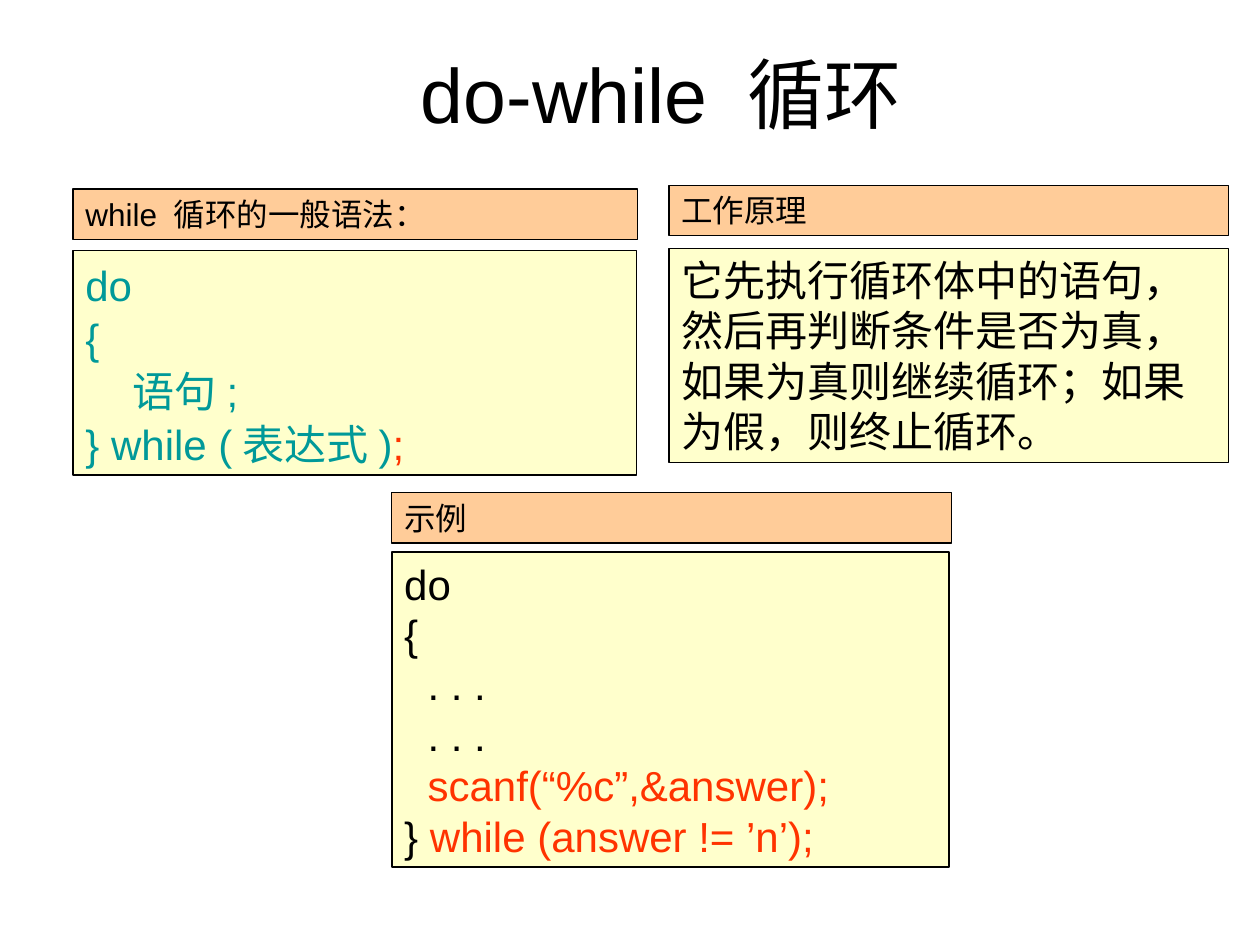
import pptx
import pptx.dml.color
import pptx.enum.shapes
import pptx.enum.text
import pptx.util
from pptx.util import Inches

BLACK = pptx.dml.color.RGBColor(0x00, 0x00, 0x00)
TEAL = pptx.dml.color.RGBColor(0x00, 0x99, 0x99)
RED = pptx.dml.color.RGBColor(0xFF, 0x33, 0x00)
ORANGE = pptx.dml.color.RGBColor(0xFF, 0xCC, 0x99)
YELLOW = pptx.dml.color.RGBColor(0xFF, 0xFF, 0xCC)

FRAME_FORMAT = {
    "word_wrap": True,
    "margin_left": Inches(0.1),
    "margin_right": Inches(0.1),
    "margin_top": Inches(0.05),
    "margin_bottom": Inches(0.05),
}

# Each line of text is a list of (text, colour) runs.
SYNTAX = [
    [("do", TEAL)],
    [("{", TEAL)],
    [("     语句;", TEAL)],
    [("} while (表达式)", TEAL), (";", RED)],
]
PRINCIPLE = [[(
    "它先执行循环体中的语句，然后再判断条件是否为真，"
    "如果为真则继续循环；如果为假，则终止循环。", BLACK)]]
EXAMPLE = [
    [("do", BLACK)],
    [("{", BLACK)],
    [("  . . .", BLACK)],
    [("  . . .", BLACK)],
    [("  ", BLACK), ("scanf(“%c”,&answer);", RED)],
    [("} ", BLACK), ("while (answer != ’n’);", RED)],
]


def write_lines(frame, lines, size, **paragraph_format):
    """Fill a text frame with one paragraph for each line of coloured runs."""
    for name, value in FRAME_FORMAT.items():
        setattr(frame, name, value)
    for index, line in enumerate(lines):
        paragraph = frame.add_paragraph() if index else frame.paragraphs[0]
        for name, value in paragraph_format.items():
            setattr(paragraph, name, value)
        for text, color in line:
            run = paragraph.add_run()
            run.text = text
            run.font.name = "Arial"
            run.font.size = pptx.util.Pt(size)
            run.font.color.rgb = color


def add_title(slide, box, text):
    frame = slide.shapes.add_textbox(*map(Inches, box)).text_frame
    write_lines(frame, [[(text, BLACK)]], 44,
                alignment=pptx.enum.text.PP_ALIGN.CENTER)
    frame.vertical_anchor = pptx.enum.text.MSO_ANCHOR.BOTTOM


def add_filled_box(slide, box, fill, lines, size, line_width=0.75, spacing=1.0):
    shape = slide.shapes.add_shape(
        pptx.enum.shapes.MSO_SHAPE.RECTANGLE, *map(Inches, box))
    shape.shadow.inherit = False
    shape.fill.solid()
    shape.fill.fore_color.rgb = fill
    shape.line.color.rgb = BLACK
    shape.line.width = pptx.util.Pt(line_width)
    write_lines(shape.text_frame, lines, size, line_spacing=spacing,
                alignment=pptx.enum.text.PP_ALIGN.LEFT)
    shape.text_frame.vertical_anchor = pptx.enum.text.MSO_ANCHOR.TOP
    shape.text_frame.auto_size = pptx.enum.text.MSO_AUTO_SIZE.SHAPE_TO_FIT_TEXT


def add_panel(slide, heading_box, heading, body_box, body, **body_format):
    """Place a heading bar and the body box that belongs to it."""
    add_filled_box(slide, body_box, YELLOW, body, 24, **body_format)
    add_filled_box(slide, heading_box, ORANGE, [[(heading, BLACK)]], 18)


def main():
    presentation = pptx.Presentation()
    presentation.slide_width = Inches(10)
    presentation.slide_height = Inches(7.5)
    slide = presentation.slides.add_slide(presentation.slide_layouts[6])

    add_title(slide, (0.75, 0.28, 9, 0.87), "do-while 循环")
    add_panel(slide, (0.58, 1.5, 4.48, 0.4), "while 循环的一般语法：",
              (0.58, 1.99, 4.47, 1.78), SYNTAX, spacing=1.05)
    add_panel(slide, (5.31, 1.47, 4.44, 0.4), "工作原理",
              (5.31, 1.97, 4.44, 1.7), PRINCIPLE)
    add_panel(slide, (3.11, 3.91, 4.44, 0.4), "示例",
              (3.11, 4.38, 4.42, 2.5), EXAMPLE, line_width=1)

    presentation.save("out.pptx")


if __name__ == "__main__":
    main()
